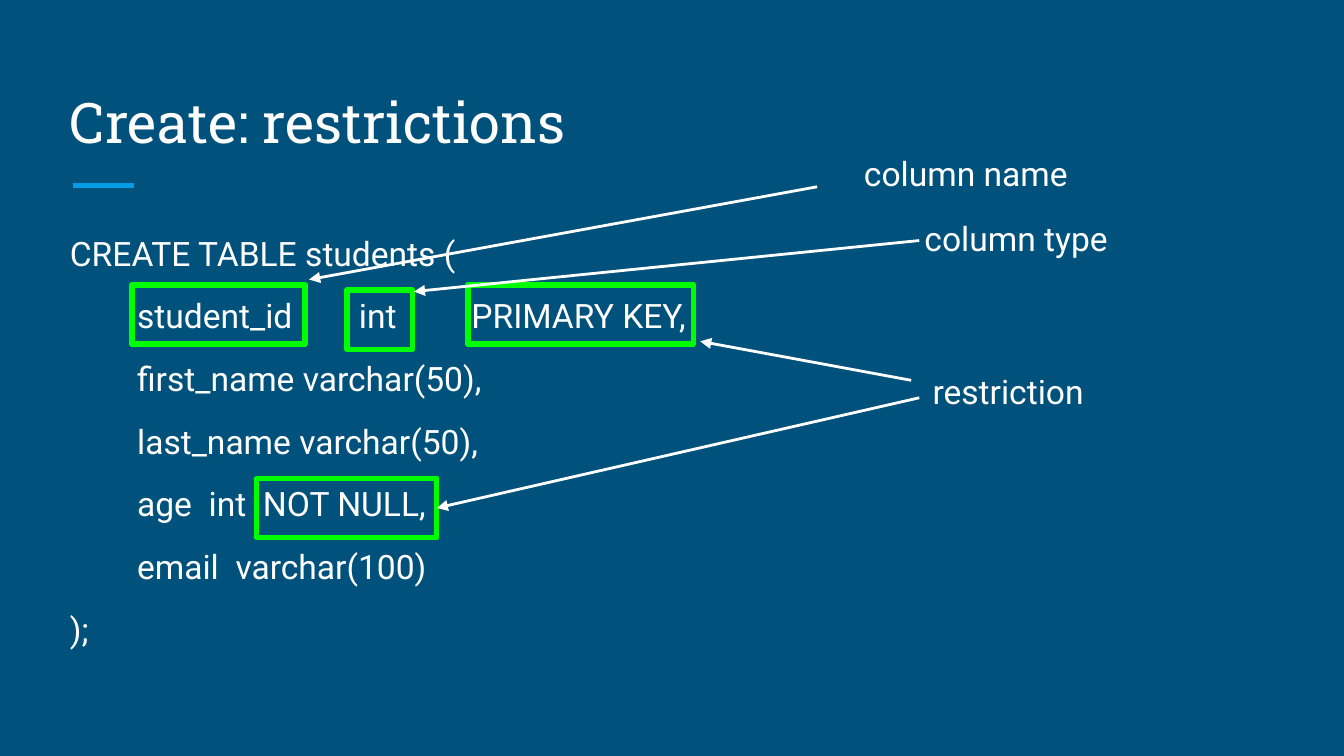
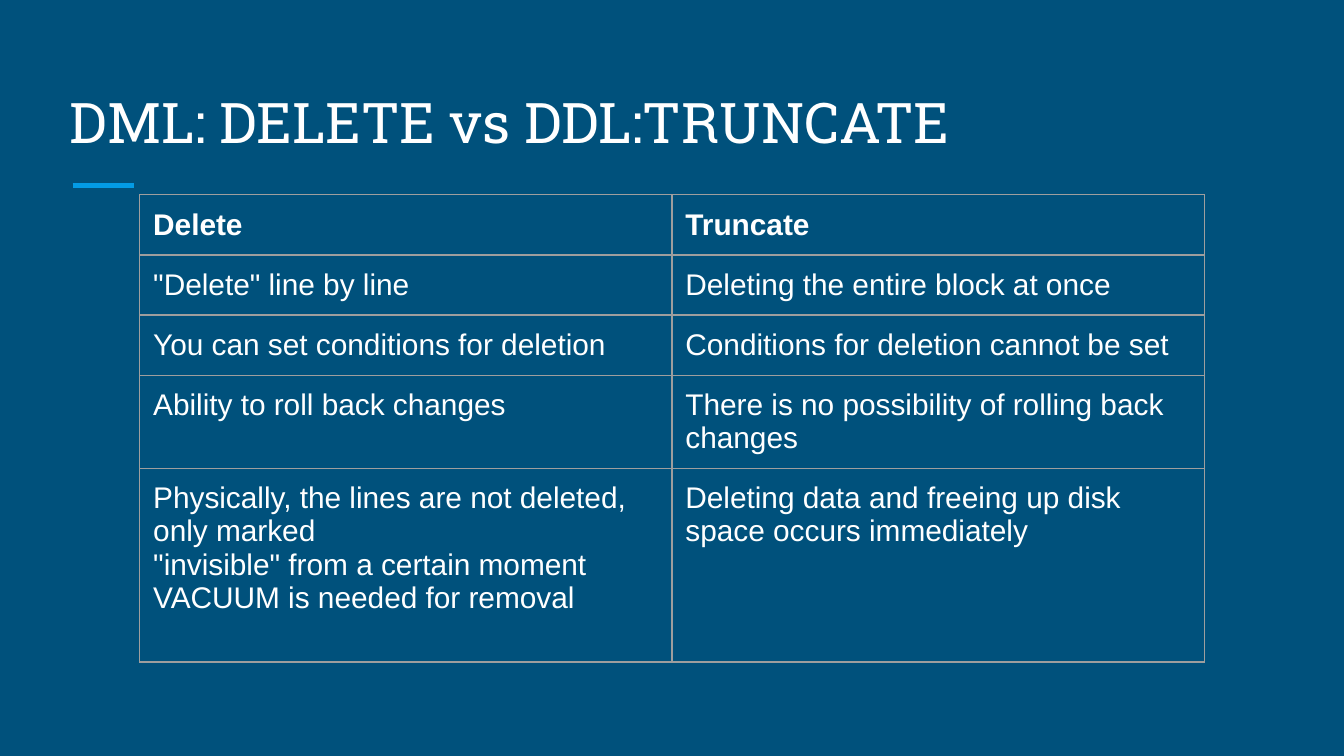
from lxml.etree import SubElement
from pptx import Presentation
from pptx.dml.color import RGBColor
from pptx.enum.shapes import MSO_CONNECTOR, MSO_SHAPE
from pptx.enum.text import MSO_ANCHOR, MSO_AUTO_SIZE, PP_ALIGN
from pptx.oxml.ns import qn
from pptx.util import Inches, Pt

NAVY = RGBColor(0x00, 0x51, 0x7C)
SKY = RGBColor(0x03, 0x9B, 0xE5)
WHITE = RGBColor(0xFF, 0xFF, 0xFF)
GREEN = RGBColor(0x00, 0xFF, 0x00)
GREY = RGBColor(0x9E, 0x9E, 0x9E)

TITLE_FONT, BODY_FONT, TABLE_FONT = "Roboto Slab", "Roboto", "Arial"
TITLE_AND_BODY, TITLE_ONLY = 1, 5
PADDING = 0.1
CODE_INDENT = 0.5

CODE_LINES = [
    "CREATE TABLE students (",
    "student_id        int         PRIMARY KEY,",
    "first_name varchar(50),",
    "last_name varchar(50),",
    "age  int  NOT NULL,",
    "email  varchar(100)",
    ");",
]
HIGHLIGHTS = [  # left, top, width
    (0.98, 2.12, 1.29),
    (2.58, 2.16, 0.49),
    (3.48, 2.12, 1.68),
    (1.91, 3.56, 1.34),
]
LABELS = [  # text, left, top
    ("column name", 6.33, 1.04),
    ("column type", 6.78, 1.52),
    ("restriction", 6.84, 2.66),
]
ARROWS = [  # start, end
    ((6.08, 1.39), (2.3, 2.08)),
    ((6.84, 1.79), (3.08, 2.17)),
    ((6.78, 2.83), (5.21, 2.54)),
    ((6.84, 2.96), (3.25, 3.78)),
]
COMPARISON = [
    ("Delete", "Truncate"),
    ('"Delete" line by line', "Deleting the entire block at once"),
    ("You can set conditions for deletion", "Conditions for deletion cannot be set"),
    ("Ability to roll back changes", "There is no possibility of rolling back changes"),
    ('Physically, the lines are not deleted, only marked\n'
     '"invisible" from a certain moment\nVACUUM is needed for removal',
     "Deleting data and freeing up disk\nspace occurs immediately"),
]
ROW_HEIGHTS = (0.42, 0.42, 0.42, 0.42, 1.44)


def place(shape, left, top, width, height):
    shape.left, shape.top = Inches(left), Inches(top)
    shape.width, shape.height = Inches(width), Inches(height)


def format_runs(para, font, size, bold=False):
    for span in para.runs:
        span.font.name = font
        span.font.size = Pt(size)
        span.font.bold = bold
        span.font.color.rgb = WHITE


def format_frame(frame, font, size, anchor=MSO_ANCHOR.TOP):
    """Give a text frame its padding, anchor and white text."""
    frame.word_wrap = True
    frame.auto_size = MSO_AUTO_SIZE.NONE
    frame.vertical_anchor = anchor
    frame.margin_left = frame.margin_right = Inches(PADDING)
    frame.margin_top = frame.margin_bottom = Inches(PADDING)
    for para in frame.paragraphs:
        para.alignment = PP_ALIGN.LEFT
        format_runs(para, font, size)


def add_line(page, start, end, color, width, arrow=False):
    line = page.shapes.add_connector(
        MSO_CONNECTOR.STRAIGHT, *(Inches(value) for value in start + end))
    line.line.color.rgb = color
    line.line.width = Pt(width)
    if arrow:
        SubElement(line.line._get_or_add_ln(), qn("a:tailEnd"), type="triangle")
    SubElement(line._element.spPr, qn("a:effectLst"))
    return line


def add_page(deck, layout, title):
    """Add a slide with the shared title style."""
    page = deck.slides.add_slide(deck.slide_layouts[layout])
    heading = page.shapes.title
    place(heading, 0.42, 0.5, 9.15, 0.75)
    heading.text_frame.text = title
    format_frame(heading.text_frame, TITLE_FONT, 30, MSO_ANCHOR.BOTTOM)
    return page


def share_accent(deck, page):
    """Draw the accent line and move it to the master, for every slide."""
    accent = add_line(page, (0.54, 1.38), (1, 1.38), SKY, 3)
    deck.slide_master.shapes._spTree.append(accent._element)


def fill_code(body, lines):
    place(body, 0.42, 1.63, 4.86, 3.37)
    frame = body.text_frame
    frame.text = "\n".join(lines)
    for index, para in enumerate(frame.paragraphs):
        inner = 0 < index < len(lines) - 1
        para.space_before = Pt(12 if index else 0)
        properties = para._p.get_or_add_pPr()
        properties.set("marL", str(Inches(CODE_INDENT if inner else 0)))
        properties.set("indent", "0")
        SubElement(properties, qn("a:buNone"))
    format_frame(frame, BODY_FONT, 18)


def add_highlight(page, left, top, width):
    box = page.shapes.add_shape(
        MSO_SHAPE.RECTANGLE, Inches(left), Inches(top), Inches(width), Inches(0.44))
    box.shadow.inherit = False
    box.fill.background()
    box.line.color.rgb = GREEN
    box.line.width = Pt(3)


def add_label(page, text, left, top):
    box = page.shapes.add_textbox(
        Inches(left), Inches(top), Inches(2.79), Inches(0.59))
    box.text_frame.text = text
    format_frame(box.text_frame, BODY_FONT, 18)


def add_borders(cell):
    properties = cell._tc.get_or_add_tcPr()
    for index, side in enumerate(("a:lnL", "a:lnR", "a:lnT", "a:lnB")):
        border = properties.makeelement(qn(side), {"w": str(Pt(0.75))})
        fill = SubElement(border, qn("a:solidFill"))
        SubElement(fill, qn("a:srgbClr"), val=str(GREY))
        properties.insert(index, border)


def add_comparison(page, rows):
    table = page.shapes.add_table(
        len(rows), 2, Inches(1.04), Inches(1.45),
        Inches(7.92), Inches(sum(ROW_HEIGHTS))).table
    table.horz_banding = False
    for row, height in zip(table.rows, ROW_HEIGHTS):
        row.height = Inches(height)
    for row_index, texts in enumerate(rows):
        for column_index, text in enumerate(texts):
            cell = table.cell(row_index, column_index)
            cell.text_frame.text = text
            cell.margin_left = cell.margin_right = Inches(PADDING)
            cell.margin_top = cell.margin_bottom = Inches(PADDING)
            cell.fill.background()
            add_borders(cell)
            for para in cell.text_frame.paragraphs:
                format_runs(para, TABLE_FONT, 16, bold=row_index == 0)


def main():
    deck = Presentation()
    deck.slide_width = Inches(10)
    deck.slide_height = deck.slide_width * 9 // 16
    background = deck.slide_master.background.fill
    background.solid()
    background.fore_color.rgb = NAVY

    # Annotated table definition
    page = add_page(deck, TITLE_AND_BODY, "Create: restrictions")
    share_accent(deck, page)
    fill_code(page.placeholders[1], CODE_LINES)
    for highlight in HIGHLIGHTS:
        add_highlight(page, *highlight)
    for start, end in ARROWS:
        add_line(page, start, end, WHITE, 1.5, arrow=True)
    for label in LABELS:
        add_label(page, *label)

    # Delete and truncate side by side
    page = add_page(deck, TITLE_ONLY, "DML: DELETE vs DDL:TRUNCATE")
    add_comparison(page, COMPARISON)

    deck.save("out.pptx")


if __name__ == "__main__":
    main()
